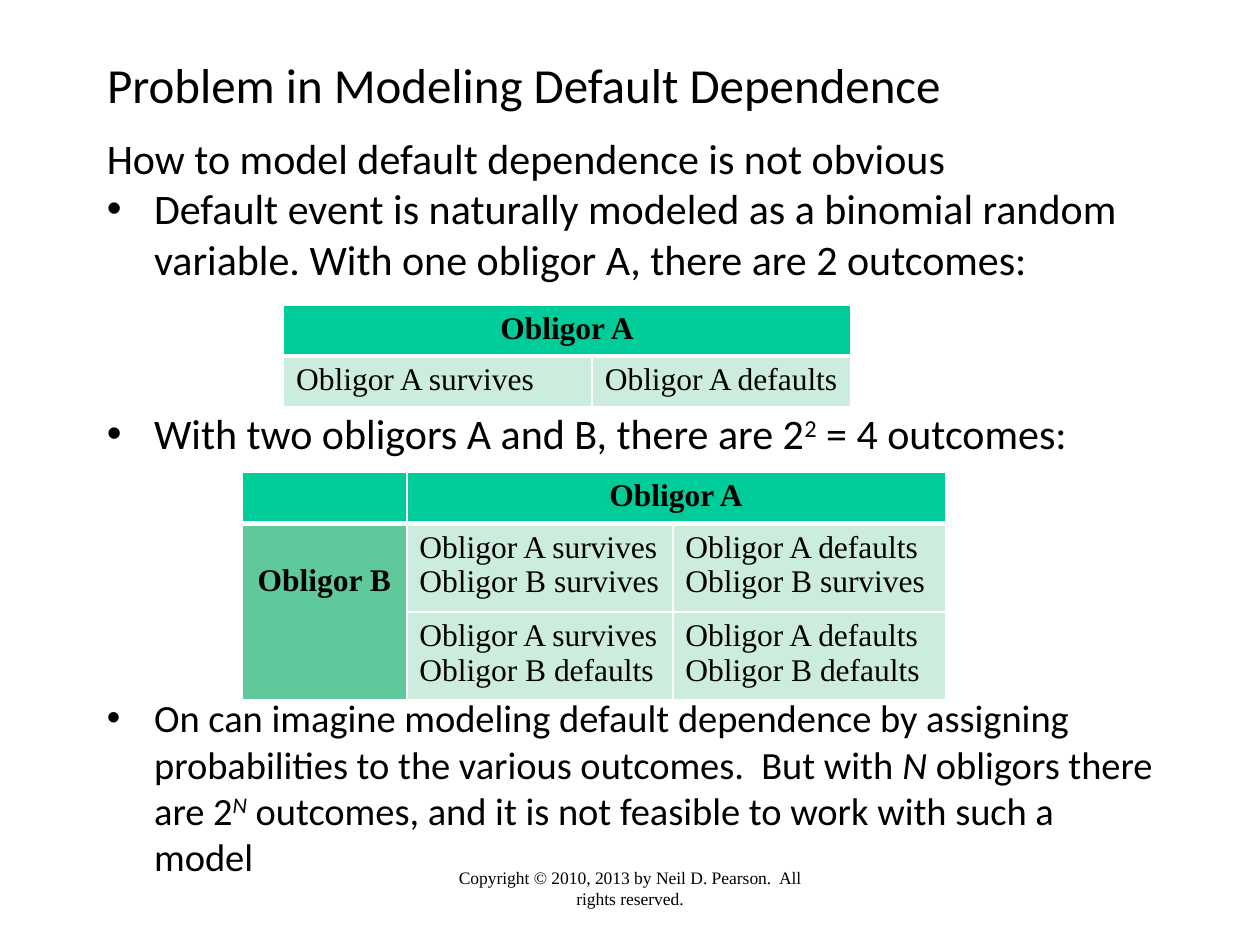
from lxml import etree
from pptx import Presentation
from pptx.dml.color import RGBColor
from pptx.enum.text import MSO_ANCHOR, PP_ALIGN
from pptx.oxml.ns import qn
from pptx.util import Pt

LEFT, CENTER = PP_ALIGN.LEFT, PP_ALIGN.CENTER
TOP, MIDDLE = MSO_ANCHOR.TOP, MSO_ANCHOR.MIDDLE
HUES = {"ink": "000000", "line": "FFFFFF", "head": "00CC99",
        "side": "60C99C", "cell": "CCECDE"}
SANS, SERIF = "Calibri", "Times New Roman"


def style(item, **look):
    """Set each format value on an object."""
    for key, value in look.items():
        setattr(item, key, value)


def write(para, parts, name, size, bold=False):
    """Fill a paragraph with runs of (text, italic, raised)."""
    for text, italic, raised in parts:
        run = para.add_run()
        run.text = text
        style(run.font, name=name, size=Pt(size), bold=bold, italic=italic)
        run.font.color.rgb = RGBColor.from_string(HUES["ink"])
        if raised:
            run._r.get_or_add_rPr().set("baseline", "30000")


def bullet(para):
    """Give a paragraph a hanging bullet."""
    props = para._p.get_or_add_pPr()
    props.set("marL", str(Pt(27)))
    props.set("indent", str(-Pt(27)))
    etree.SubElement(props, qn("a:buFont")).set("typeface", "Arial")
    etree.SubElement(props, qn("a:buChar")).set("char", "•")


def border(cell, widths):
    """Draw the left, right, top and bottom lines of a cell."""
    props = cell._tc.get_or_add_tcPr()
    for side, width in zip("LRTB", widths):
        line = etree.SubElement(props, qn(f"a:ln{side}"), w=str(Pt(width)))
        fill = etree.SubElement(line, qn("a:solidFill"))
        etree.SubElement(fill, qn("a:srgbClr"), val=HUES["line"])


def add_title(slide, box, text):
    """Place the slide title."""
    shape = slide.shapes.title
    style(shape, **dict(zip(("left", "top", "width", "height"), map(Pt, box))))
    style(shape.text_frame, vertical_anchor=MIDDLE, word_wrap=True)
    para = shape.text_frame.paragraphs[0]
    para.alignment = LEFT
    write(para, [(text, False, False)], SANS, 28)


def add_text(slide, box, paras, name, align=LEFT):
    """Place paragraphs of (parts, size, gap before, bulleted)."""
    frame = slide.shapes.add_textbox(*map(Pt, box)).text_frame
    style(frame, word_wrap=True, vertical_anchor=TOP)
    for i, (parts, size, gap, dotted) in enumerate(paras):
        para = frame.add_paragraph() if i else frame.paragraphs[0]
        style(para, alignment=align, space_before=Pt(gap))
        if dotted:
            bullet(para)
        write(para, parts, name, size)


def add_grid(slide, spot, cols, rows, texts, spans, side=False):
    """Place a table with a head row and maybe a side column."""
    size = Pt(sum(cols)), Pt(sum(rows))
    grid = slide.shapes.add_table(len(rows), len(cols), *map(Pt, spot), *size).table
    for col, width in zip(grid.columns, cols):
        col.width = Pt(width)
    for row, height in zip(grid.rows, rows):
        row.height = Pt(height)
    for first, last in spans:
        grid.cell(*first).merge(grid.cell(*last))
    for r, line in enumerate(texts):
        for c, text in enumerate(line):
            cell = grid.cell(r, c)
            edge = side and c == 0
            bold = r == 0 or edge
            border(cell, (1, 1, 3 if r == 1 else 1, 1 if r else 3))
            cell.fill.solid()
            hue = "head" if r == 0 else "side" if edge else "cell"
            cell.fill.fore_color.rgb = RGBColor.from_string(HUES[hue])
            cell.margin_top = Pt(23 if edge and r else 3.6)
            frame = cell.text_frame
            for i, part in enumerate(text.split("\n")):
                para = frame.add_paragraph() if i else frame.paragraphs[0]
                style(para, alignment=CENTER if bold else LEFT)
                para.font.size = Pt(18)
                if part:
                    write(para, [(part, False, False)], SERIF, 18, bold)


def main():
    """Build the slide."""
    deck = Presentation()
    style(deck, slide_width=Pt(720), slide_height=Pt(540))
    slide = deck.slides.add_slide(deck.slide_layouts[5])
    add_text(slide, (246, 492, 228, 36), [
        ([("Copyright © 2010, 2013 by Neil D. Pearson.  All rights reserved.",
           False, False)], 10, 0, False)], SERIF, CENTER)
    add_title(slide, (54, 18, 612, 60), "Problem in Modeling Default Dependence")
    add_text(slide, (54, 72, 612, 408), [
        ([("How to model default dependence is not obvious", False, False)],
         24, 0, False),
        ([("Default event is naturally modeled as a binomial random variable. "
           "With one obligor A, there are 2 outcomes:", False, False)],
         24, 0, True),
        ([("With two obligors A and B, there are 2", False, False),
          ("2", False, True), (" = 4 outcomes:", False, False)], 24, 71, True),
        ([("On can imagine modeling default dependence by assigning "
           "probabilities to the various outcomes.  But with ", False, False),
          ("N", True, False), (" obligors there are 2", False, False),
          ("N", True, True),
          (" outcomes, and it is not feasible to work with such a model",
           False, False)], 22, 135, True)], SANS)
    ends = ("survives", "defaults")
    add_grid(slide, (162, 174.2), (176.4, 147.6), (29.2, 29.2),
             [["Obligor A", ""], [f"Obligor A {a}" for a in ends]],
             [((0, 0), (0, 1))])
    pairs = [[f"Obligor A {a}\nObligor B {b}" for a in ends] for b in ends]
    add_grid(slide, (138.2, 270), (94.3, 152, 155.8), (29.2, 50.4, 50.4),
             [["", "Obligor A", ""], ["Obligor B"] + pairs[0], [""] + pairs[1]],
             [((0, 1), (0, 2)), ((1, 0), (2, 0))], side=True)
    deck.save("out.pptx")


if __name__ == "__main__":
    main()
